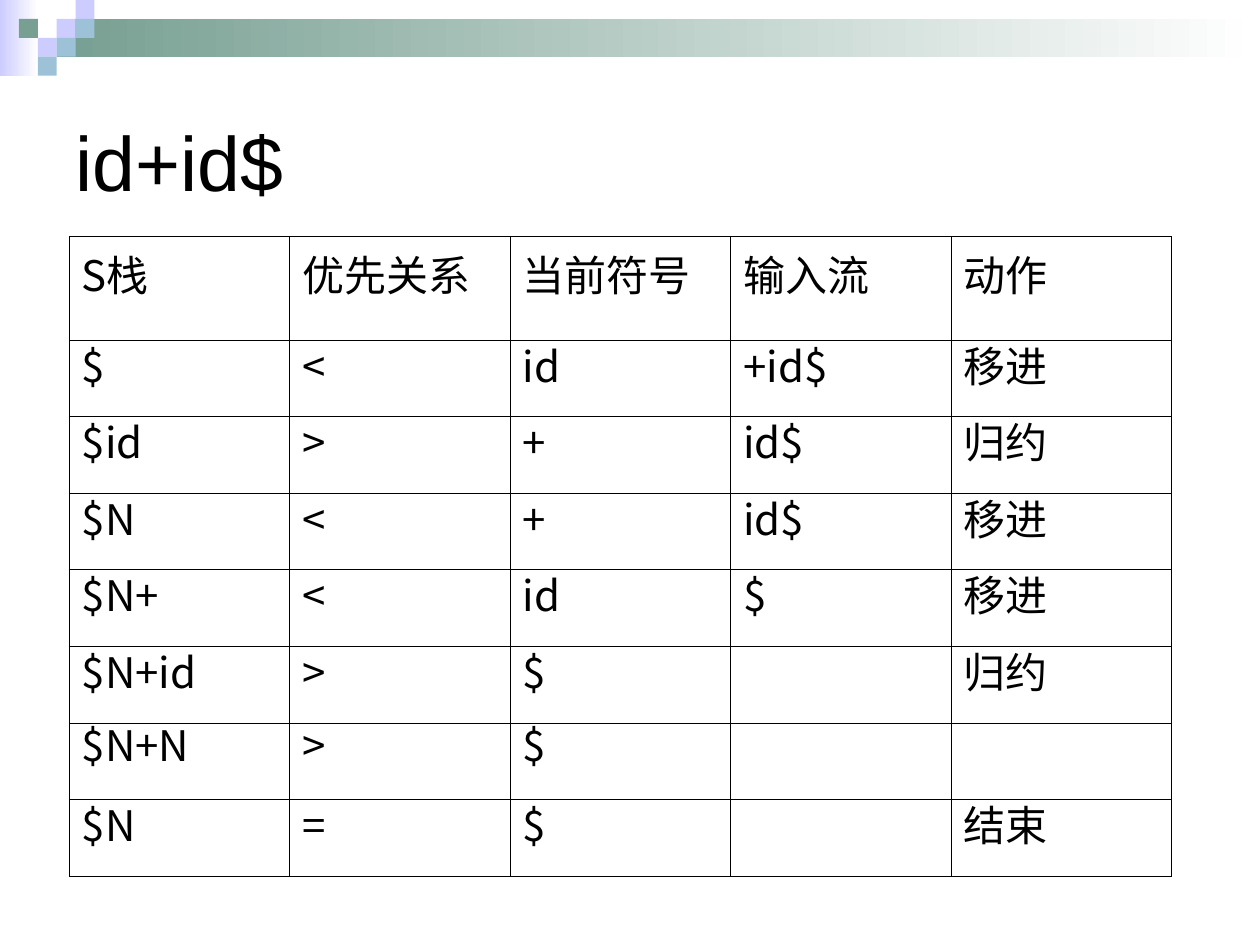
import pptx
import pptx.dml.color
import pptx.enum.shapes
import pptx.enum.text
import pptx.oxml.ns
import pptx.util
from lxml import etree

RGBColor = pptx.dml.color.RGBColor
BLACK = RGBColor(0x00, 0x00, 0x00)
WHITE = RGBColor(0xFF, 0xFF, 0xFF)
LILAC = RGBColor(0xCC, 0xCC, 0xFF)
SKY = RGBColor(0x9D, 0xC2, 0xD7)
SAGE = RGBColor(0x77, 0x9F, 0x92)

WIDTH, HEIGHT = pptx.util.Inches(10), pptx.util.Inches(7.5)
TILE = pptx.util.Inches(0.15)
HANGING = pptx.util.Inches(0.38)
TITLE_FONT, LATIN_FONT, CJK_FONT = "Arial", "Calibri", "Noto Sans CJK SC"


class SlideBuilder:
    def __init__(self, slide):
        self.slide = slide
        self.text_size = pptx.util.Pt(24)
        self.title_size = pptx.util.Pt(44)
        self.border = pptx.util.Pt(0.45)

    def share(self, x, y, w, h):
        """Turn shares of the slide into left, top, width and height."""
        return [round(part * full) for part, full in
                zip((x, y, w, h), (WIDTH, HEIGHT, WIDTH, HEIGHT))]

    def rectangle(self, frame):
        block = self.slide.shapes.add_shape(
            pptx.enum.shapes.MSO_SHAPE.RECTANGLE, *frame)
        block.shadow.inherit = False
        block.line.fill.background()
        return block

    def fading_band(self, frame, color):
        fill = self.rectangle(frame).fill
        fill.gradient()
        fill.gradient_angle = 180
        for stop, shade in zip(fill.gradient_stops, (WHITE, color)):
            stop.color.rgb = shade

    def tile(self, column, row, color):
        fill = self.rectangle((column * TILE, row * TILE, TILE, TILE)).fill
        fill.solid()
        fill.fore_color.rgb = color

    def run(self, paragraph, text, size, font):
        run = paragraph.add_run()
        run.text = text
        run.font.size, run.font.name = size, font
        run.font.color.rgb = BLACK
        east_asian = etree.SubElement(run.font._element,
                                      pptx.oxml.ns.qn("a:ea"))
        east_asian.set("typeface", CJK_FONT)

    def title(self, text, frame):
        title = self.slide.shapes.title
        title.left, title.top, title.width, title.height = frame
        title.text_frame.auto_size = pptx.enum.text.MSO_AUTO_SIZE.NONE
        title.text_frame.vertical_anchor = pptx.enum.text.MSO_ANCHOR.MIDDLE
        paragraph = title.text_frame.paragraphs[0]
        paragraph.alignment = pptx.enum.text.PP_ALIGN.LEFT
        self.run(paragraph, text, self.title_size, TITLE_FONT)

    def outline(self, cell):
        properties = cell._tc.get_or_add_tcPr()
        for position, side in enumerate(("lnL", "lnR", "lnT", "lnB")):
            line = etree.Element(pptx.oxml.ns.qn(f"a:{side}"),
                                 w=str(self.border))
            fill = etree.SubElement(line, pptx.oxml.ns.qn("a:solidFill"))
            etree.SubElement(fill, pptx.oxml.ns.qn("a:srgbClr"),
                             val=str(BLACK))
            properties.insert(position, line)

    def cell(self, cell, runs, hanging, spacing):
        cell.fill.background()
        self.outline(cell)
        cell.vertical_anchor = pptx.enum.text.MSO_ANCHOR.MIDDLE
        paragraph = cell.text_frame.paragraphs[0]
        if not runs:
            return
        paragraph.line_spacing = pptx.util.Pt(spacing)
        if hanging:
            indents = paragraph._p.get_or_add_pPr()
            indents.set("marL", str(HANGING))
            indents.set("indent", str(-HANGING))
        for text in runs:
            font = LATIN_FONT if text > "\u2fff" else CJK_FONT
            self.run(paragraph, text, self.text_size, font)

    def table(self, rows, frame, row_heights, spacings):
        table = self.slide.shapes.add_table(
            len(rows), len(rows[0]), *frame).table
        table.first_row = table.horz_banding = False
        last = len(rows[0]) - 1
        for r, row in enumerate(rows):
            table.rows[r].height = round(row_heights[r] * HEIGHT)
            for c, runs in enumerate(row):
                self.cell(table.cell(r, c), runs,
                          r == 0 or c in (0, last), spacings[r])


def main():
    deck = pptx.Presentation()
    deck.slide_width, deck.slide_height = WIDTH, HEIGHT
    builder = SlideBuilder(deck.slides.add_slide(deck.slide_layouts[5]))

    # Heading
    builder.title("id+id$", builder.share(0.05, 0.07, 0.9, 0.2))

    # Corner ornament: fading bands, then tiles on a square grid
    builder.fading_band(builder.share(0, 0, 0.03, 0.08), LILAC)
    builder.fading_band((3 * TILE, TILE, WIDTH - 3 * TILE, 2 * TILE), SAGE)
    for column, row, color in ((3, 1, LILAC), (4, 0, LILAC), (4, 1, SKY),
                               (2, 2, LILAC), (1, 1, SAGE), (3, 2, SKY),
                               (2, 3, SKY)):
        builder.tile(column, row, color)

    # Parsing steps: each cell is a list of runs
    header = [["S", "栈"], ["优先关系"], ["当前符号"], ["输入流"], ["动作"]]
    steps = [
        ("$", "<", "id", "+id$", "移进"),
        ("$id", ">", "+", "id$", "归约"),
        ("$N", "<", "+", "id$", "移进"),
        ("$N+", "<", "id", "$", "移进"),
        ("$N+id", ">", "$", "", "归约"),
        ("$N+N", ">", "$", "", ""),
        ("$N", "=", "$", "", "结束"),
    ]
    rows = [header] + [[[text] if text else [] for text in step]
                       for step in steps]
    builder.table(rows, builder.share(0.055, 0.25, 0.875, 0.68),
                  row_heights=[0.11] + [0.081] * len(steps),
                  spacings=[18] * 6 + [14.2, 18])

    deck.save("out.pptx")


if __name__ == "__main__":
    main()
